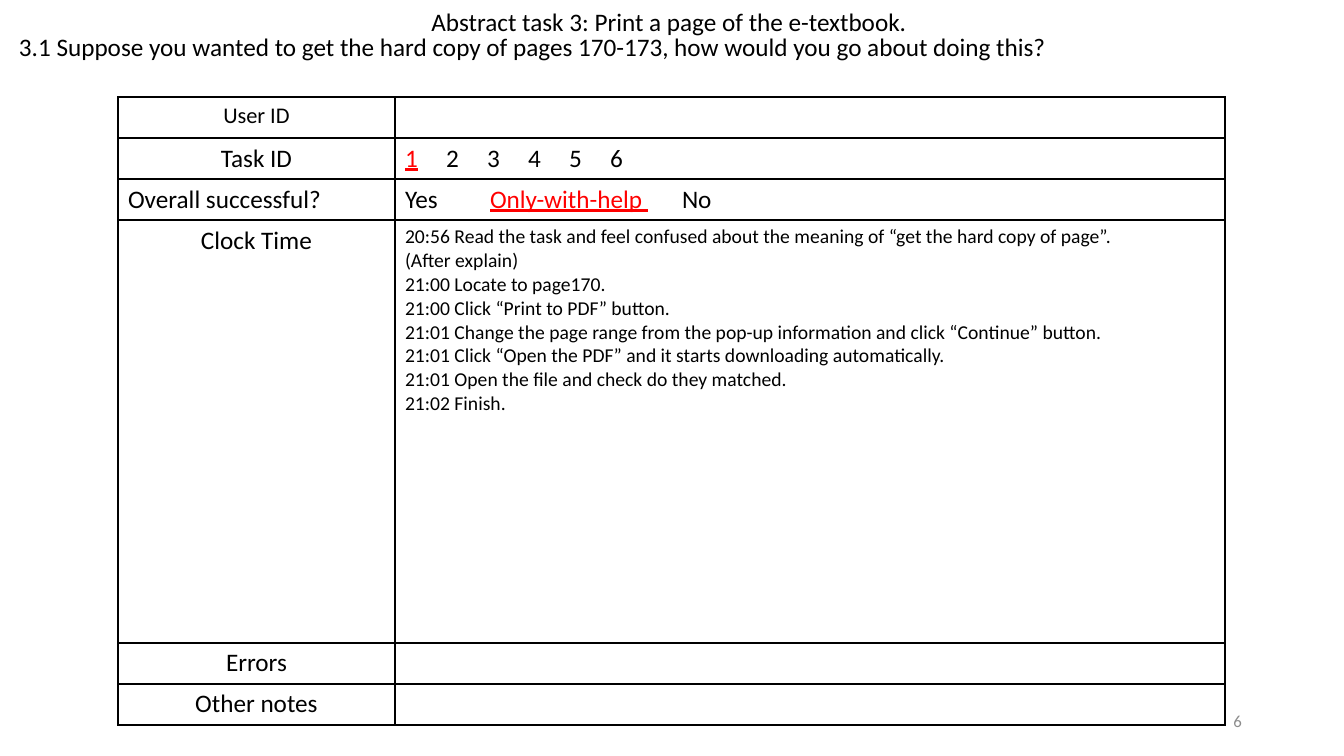
from lxml import etree
from pptx import Presentation
from pptx.dml.color import RGBColor
from pptx.enum.text import MSO_ANCHOR, MSO_AUTO_SIZE, PP_ALIGN
from pptx.oxml.ns import qn
from pptx.util import Emu, Pt

LEFT, CENTER, RIGHT = PP_ALIGN.LEFT, PP_ALIGN.CENTER, PP_ALIGN.RIGHT
TOP, MIDDLE = MSO_ANCHOR.TOP, MSO_ANCHOR.MIDDLE
FONT, BLACK, RED, GRAY = "Calibri", "000000", "FF0000", "8C8C8C"

TITLE = "Abstract task 3: Print a page of the e-textbook."
QUESTION = ("3.1 Suppose you wanted to get the hard copy of pages 170-173, "
            "how would you go about doing this?")
PAGE_NUMBER = "6"
CLOCK_LOG = [
    "20:56 Read the task and feel confused about the meaning of “get the hard copy of page”.",
    "(After explain)",
    "21:00 Locate to page170.",
    "21:00 Click “Print to PDF” button.",
    "21:01 Change the page range from the pop-up information and click “Continue” button.",
    "21:01 Click “Open the PDF” and it starts downloading automatically.",
    "21:01 Open the file and check do they matched.",
    "21:02 Finish.",
]
# Choices are (options, chosen option, tab stops in px)
TASK_IDS = (["1", "2", "3", "4", "5", "6"], "1", [41 * i for i in range(1, 6)])
SUCCESS = (["Yes", "Only-with-help ", "No"], "Only-with-help ", [85, 277])
# label, label size, label alignment, row height, choices, log lines
ROWS = [
    ("User ID", 16, CENTER, 41, None, []),
    ("Task ID", 18, CENTER, 41, TASK_IDS, []),
    ("Overall successful?", 18, LEFT, 41, SUCCESS, []),
    ("Clock Time", 18, CENTER, 423, None, CLOCK_LOG),
    ("Errors", 18, CENTER, 41, None, []),
    ("Other notes", 18, CENTER, 41, None, []),
]
COLUMNS = [277, 830]
TABLE_LEFT, TABLE_TOP = 118, 97


def px(n):
    return Emu(round(n * 914400 / 100.8))


def rgb(color):
    return RGBColor.from_string(color)


def add_run(p, text, size, color=BLACK, underline=None):
    r = p.add_run()
    r.text = text
    r.font.name, r.font.size = FONT, Pt(size)
    r.font.color.rgb = rgb(color)
    r.font.underline = underline


def write_line(s, box, text, size, align, color=BLACK, anchor=TOP):
    s.left, s.top, s.width, s.height = map(px, box)
    tf = s.text_frame
    tf.word_wrap, tf.auto_size = True, MSO_AUTO_SIZE.NONE
    tf.vertical_anchor = anchor
    tf.paragraphs[0].alignment = align
    add_run(tf.paragraphs[0], text, size, color)


def add_choices(p, options, chosen, stops):
    """Set the options at tab stops, with the chosen one red and underlined."""
    tabs = etree.SubElement(p._p.get_or_add_pPr(), qn("a:tabLst"))
    for stop in stops:
        etree.SubElement(tabs, qn("a:tab"), pos=str(px(stop)), algn="l")
    for i, option in enumerate(options):
        if i:
            add_run(p, "\t", 18)
        picked = option == chosen
        add_run(p, option, 18, RED if picked else BLACK, picked or None)


def style_cell(cell):
    """Clear the fill and draw a thin black border on all sides."""
    tcPr = cell._tc.get_or_add_tcPr()
    for side in ("lnL", "lnR", "lnT", "lnB"):
        ln = etree.SubElement(tcPr, qn(f"a:{side}"), w=str(Pt(1)))
        fill = etree.SubElement(ln, qn("a:solidFill"))
        etree.SubElement(fill, qn("a:srgbClr"), val=BLACK)
    cell.fill.background()


def add_record_table(slide):
    heights = [row[3] for row in ROWS]
    frame = slide.shapes.add_table(
        len(ROWS), len(COLUMNS), px(TABLE_LEFT), px(TABLE_TOP),
        px(sum(COLUMNS)), px(sum(heights)))
    table = frame.table
    table.first_row = table.horz_banding = False
    for column, width in zip(table.columns, COLUMNS):
        column.width = px(width)
    for row, (label, size, align, height, choices, log) in zip(table.rows, ROWS):
        row.height = px(height)
        name, value = row.cells
        style_cell(name)
        style_cell(value)
        p = name.text_frame.paragraphs[0]
        p.alignment = align
        add_run(p, label, size)
        tf = value.text_frame
        if choices:
            add_choices(tf.paragraphs[0], *choices)
        for i, line in enumerate(log):
            add_run(tf.add_paragraph() if i else tf.paragraphs[0], line, 14)


def main():
    prs = Presentation()
    prs.slide_width, prs.slide_height = px(1344), px(756)
    slide = prs.slides.add_slide(prs.slide_layouts[5])
    add_record_table(slide)
    write_line(slide.shapes.title, (370, 1, 598, 72), TITLE, 18, CENTER)
    question = slide.shapes.add_textbox(0, 0, 0, 0)
    write_line(question, (9, 26, 1333, 40), QUESTION, 18, LEFT)
    number = slide.shapes.add_textbox(0, 0, 0, 0)
    write_line(number, (950, 701, 302, 40), PAGE_NUMBER, 12, RIGHT, GRAY, MIDDLE)
    prs.save("out.pptx")


if __name__ == "__main__":
    main()
